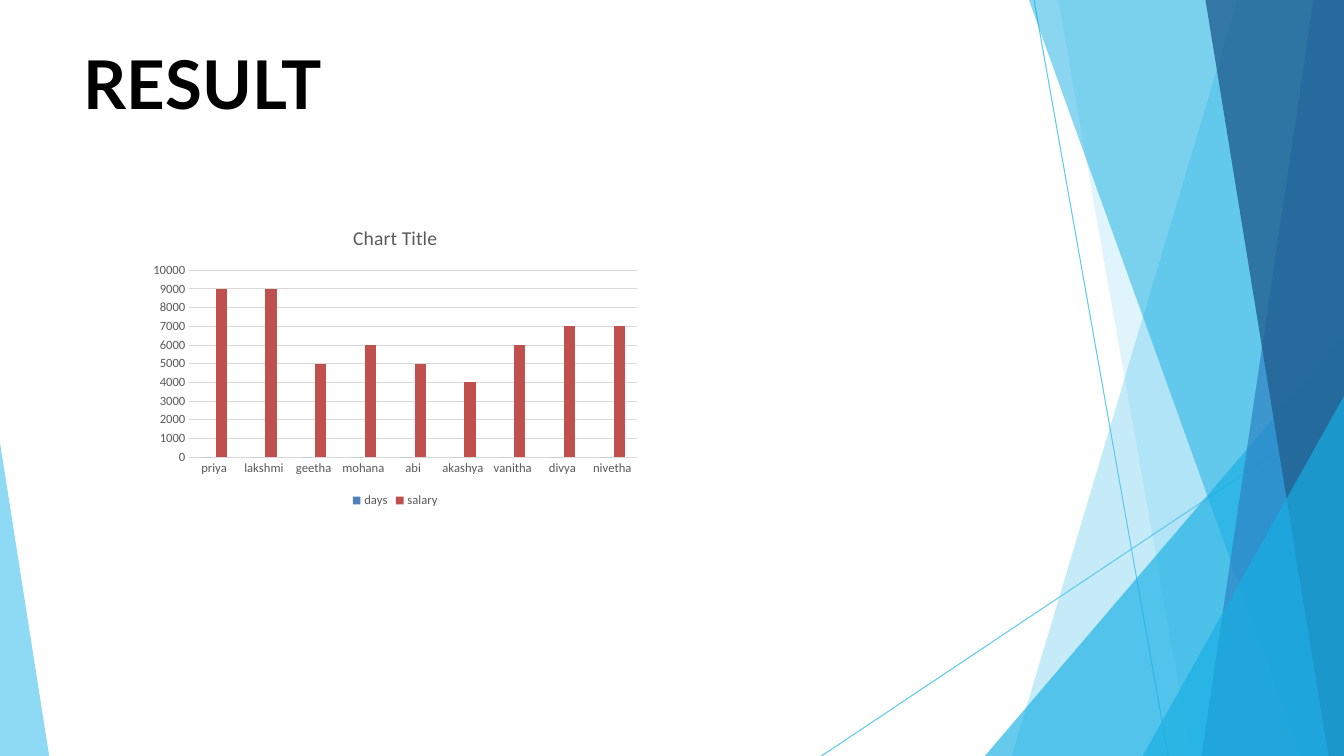
"""Build the RESULT slide: faceted blue decoration, title and salary chart."""
import pptx
import pptx.chart.data
import pptx.dml.color
import pptx.enum.chart
import pptx.enum.shapes
import pptx.enum.text
import pptx.oxml
import pptx.oxml.ns
import pptx.util
from pptx.util import Cm, Pt


def color(hex_string):
    return pptx.dml.color.RGBColor.from_string(hex_string)


def write_text(text_frame, text, font="Calibri", size=14, fill="595959", bold=False):
    text_frame.text = text
    run = text_frame.paragraphs[0].runs[0]
    run.font.name = font
    run.font.size = Pt(size)
    run.font.bold = bold
    run.font.color.rgb = color(fill)


WIDTH, HEIGHT = 33.87, 19.05
presentation = pptx.Presentation()
presentation.slide_width = Cm(WIDTH)
presentation.slide_height = Cm(HEIGHT)
slide = presentation.slides.add_slide(presentation.slide_layouts[5])

for start_x, start_y, end_x in [(26.06, 0, 29.44), (WIDTH, 10.26, 20.7)]:
    line = slide.shapes.add_connector(
        pptx.enum.shapes.MSO_CONNECTOR.STRAIGHT,
        Cm(start_x), Cm(start_y), Cm(end_x), Cm(HEIGHT))
    line.line.color.rgb = color("5FCAEE")
    line.line.width = Pt(0.75)
    line.element.spPr.append(pptx.oxml.parse_xml(
        f"<a:effectLst {pptx.oxml.ns.nsdecls('a')}/>"))

top_right, bottom_right = (WIDTH, 0), (WIDTH, HEIGHT)
facets = [
    ("5FCAEE", 36, [top_right, (31.19, 0), (25.5, HEIGHT), bottom_right]),
    ("5FCAEE", 20, [top_right, (26.67, 0), (30.02, HEIGHT), bottom_right]),
    ("17AFE3", 66, [(WIDTH, 8.46), (24.82, HEIGHT), bottom_right]),
    ("17AFE3", 50, [top_right, (25.93, 0), (32.79, HEIGHT), bottom_right]),
    ("2D83C3", 70, [top_right, (33.1, 0), (30.28, HEIGHT), bottom_right]),
    ("226192", 80, [top_right, (30.38, 0), (33.48, HEIGHT), bottom_right]),
    ("17AFE3", 66, [(WIDTH, 9.98), (28.8, HEIGHT), bottom_right]),
    ("5FCAEE", 70, [(0, 11.15), (0, HEIGHT), (1.24, HEIGHT)]),
]
for fill, opacity, corners in facets:
    points = [(Cm(x), Cm(y)) for x, y in corners]
    builder = slide.shapes.build_freeform(*points[0])
    builder.add_line_segments(points[1:], close=True)
    facet = builder.convert_to_shape()
    facet.shadow.inherit = False
    facet.line.fill.background()
    facet.fill.solid()
    facet.fill.fore_color.rgb = color(fill)
    color_element = facet.element.spPr.find(".//" + pptx.oxml.ns.qn("a:srgbClr"))
    color_element.append(pptx.oxml.parse_xml(
        f"<a:alpha {pptx.oxml.ns.nsdecls('a')} val='{opacity * 1000}'/>"))

title = slide.shapes.title
slide.shapes.element.append(title.element)
title.left, title.top, title.width, title.height = Cm(2.11), Cm(1.07), Cm(29.67), Cm(2.11)
title_frame = title.text_frame
write_text(title_frame, "RESULT", font="Lato", size=48, fill="000000", bold=True)
title_frame.margin_left = title_frame.margin_right = 0
title_frame.margin_top = title_frame.margin_bottom = 0
title_frame.vertical_anchor = pptx.enum.text.MSO_ANCHOR.TOP
title_frame.paragraphs[0].alignment = pptx.enum.text.PP_ALIGN.LEFT

chart_data = pptx.chart.data.CategoryChartData()
chart_data.categories = ["priya", "lakshmi", "geetha", "mohana", "abi",
                         "akashya", "vanitha", "divya", "nivetha"]
chart_data.add_series("days", [0] * 9)
chart_data.add_series("salary", [9000, 9000, 5000, 6000, 5000, 4000, 6000, 7000, 7000])
chart = slide.shapes.add_chart(
    pptx.enum.chart.XL_CHART_TYPE.COLUMN_CLUSTERED,
    Cm(3.61), Cm(5.28), Cm(12.7), Cm(7.62), chart_data).chart
chart.font.name = "Calibri"
chart.font.size = Pt(10)
chart.has_title = True
write_text(chart.chart_title.text_frame, "Chart Title")
chart.chart_title.include_in_layout = False

plot = chart.plots[0]
plot.gap_width = 219
plot.overlap = -27
plot.vary_by_categories = False
for series, fill in zip(plot.series, ["4F81BD", "C0504D"]):
    series.format.fill.solid()
    series.format.fill.fore_color.rgb = color(fill)

chart.has_legend = True
chart.legend.position = pptx.enum.chart.XL_LEGEND_POSITION.BOTTOM
chart.legend.include_in_layout = False
value_axis, category_axis = chart.value_axis, chart.category_axis
for font in [chart.legend.font, value_axis.tick_labels.font, category_axis.tick_labels.font]:
    font.name = "Calibri"
    font.size = Pt(9)
    font.color.rgb = color("595959")
for axis in [value_axis, category_axis]:
    axis.major_tick_mark = pptx.enum.chart.XL_TICK_MARK.NONE
    axis.minor_tick_mark = pptx.enum.chart.XL_TICK_MARK.NONE
value_axis.minimum_scale = 0
value_axis.maximum_scale = 10000
value_axis.major_unit = 1000
value_axis.format.line.fill.background()
for line_format in [value_axis.major_gridlines.format.line, category_axis.format.line]:
    line_format.color.rgb = color("D9D9D9")
    line_format.width = Pt(0.75)

presentation.save("out.pptx")
